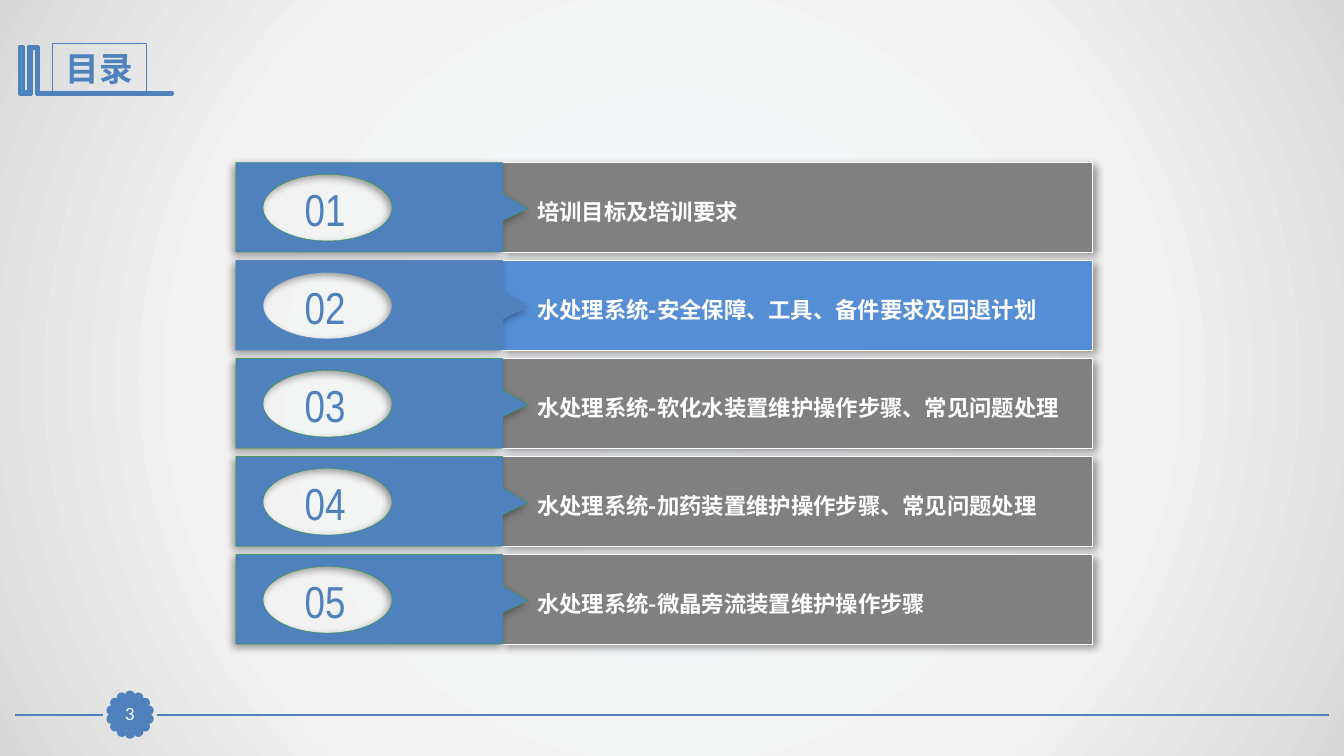
from math import cos, pi, sin

from lxml.etree import SubElement
from pptx import Presentation
from pptx.dml.color import RGBColor
from pptx.enum.shapes import MSO_CONNECTOR, MSO_SHAPE
from pptx.enum.text import MSO_ANCHOR, PP_ALIGN
from pptx.oxml import parse_xml
from pptx.oxml.ns import nsdecls, qn
from pptx.util import Inches, Pt

HUES = {"blue": "4F81BD", "sky": "558ED5", "gray": "808080", "white": "FFFFFF",
        "green": "339933", "cyan": "28A9D6", "black": "000000",
        "pale": "F6F9FC", "mist": "F2F2F2", "edge": "D9D9D9"}
HAN = "Noto Sans CJK SC"
FORMS = {
    "title": {"name": "Arial Narrow", "size": Pt(24), "bold": True},
    "page": {"name": "Lato", "size": Pt(12), "bold": False},
    "count": {"name": "Arial Narrow", "size": Pt(32), "bold": False},
    "topic": {"name": HAN, "size": Pt(16), "bold": True},
    "item": {"name": "Lato", "size": Pt(16), "bold": True},
}
ITEMS = [
    ("", "培训目标及培训要求", "gray", "green"),
    ("水处理系统-", "安全保障、工具、备件要求及回退计划", "sky", "blue"),
    ("水处理系统-软化水装置", "维护操作步骤、常见问题处理", "gray", "green"),
    ("水处理系统-加药装置", "维护操作步骤、常见问题处理", "gray", "green"),
    ("水处理系统-微晶旁流装置", "维护操作步骤", "gray", "green"),
]
BOOK = [(0.18, 0), (0.19, 0), (0.19, 0.46), (1.52, 0.46), (1.52, 0.48),
        (0.17, 0.48), (0.17, 0.02), (0.12, 0.02), (0.12, 0.48), (0, 0.48),
        (0, 0), (0.04, 0), (0.04, 0.45), (0.09, 0.45), (0.09, 0)]


def tint(hue):
    return RGBColor.from_string(HUES[hue])


def paint(shape, fill, line, width):
    shape.shadow.inherit = False
    if fill:
        shape.fill.solid()
        shape.fill.fore_color.rgb = tint(fill)
    else:
        shape.fill.background()
    shape.line.color.rgb = tint(line)
    shape.line.width = Pt(width)
    return shape


def block(host, kind, box, fill, line, width):
    shape = host.shapes.add_shape(kind, *map(Inches, box))
    return paint(shape, fill, line, width)


def trace(host, left, top, spots):
    dots = [(Inches(left + x), Inches(top + y)) for x, y in spots]
    pen = host.shapes.build_freeform(*dots[0])
    pen.add_line_segments(dots[1:], close=True)
    return pen.convert_to_shape()


def pierce(shape, x, y, wide, high):
    route = shape.element.find(".//" + qn("a:path"))

    def mark(tag, *spots):
        node = SubElement(route, qn(tag))
        for across, down in spots:
            SubElement(node, qn("a:pt"), x=str(Inches(x + across * wide)),
                       y=str(Inches(y + down * high)))

    bend = 0.55
    mark("a:moveTo", (0, -1))
    across, down = 0, -1
    for _ in range(4):
        end = (down, -across)
        mark("a:cubicBezTo", (across + bend * end[0], down + bend * end[1]),
             (end[0] + bend * across, end[1] + bend * down), end)
        across, down = end
    mark("a:close")


def shade(shape, angle):
    old = shape.element.spPr.find(qn("a:effectLst"))
    new = parse_xml(
        f'<a:effectLst {nsdecls("a")}><a:outerShdw blurRad="{Pt(6)}" dist="{Pt(3)}" '
        f'dir="{angle * 60000}" algn="ctr" rotWithShape="0"><a:srgbClr val="{HUES["black"]}">'
        '<a:alpha val="40000"/></a:srgbClr></a:outerShdw></a:effectLst>')
    old.getparent().replace(old, new)


def write(shape, runs, hue, align=PP_ALIGN.CENTER, anchor=MSO_ANCHOR.MIDDLE, inset=None):
    frame = shape.text_frame
    frame.word_wrap = True
    frame.vertical_anchor = anchor
    if inset is not None:
        for side in ("left", "right", "top", "bottom"):
            setattr(frame, f"margin_{side}", Inches(inset))
    para = frame.paragraphs[0]
    para.alignment = align
    for text, form in runs:
        run = para.add_run()
        run.text = text
        for name, value in FORMS[form].items():
            setattr(run.font, name, value)
        run.font.color.rgb = tint(hue)
        run._r.get_or_add_rPr().append(parse_xml(f'<a:ea {nsdecls("a")} typeface="{HAN}"/>'))


def rule(host, left, right, y, hue, width):
    line = host.shapes.add_connector(
        MSO_CONNECTOR.STRAIGHT, Inches(left), Inches(y), Inches(right), Inches(y))
    line.line.color.rgb = tint(hue)
    line.line.width = Pt(width)
    line.element.spPr.append(parse_xml(f'<a:effectLst {nsdecls("a")}/>'))


def backdrop(slide):
    stops = "".join(
        f'<a:gs pos="{spot * 1000}"><a:srgbClr val="{HUES[hue]}"/></a:gs>'
        for spot, hue in ((0, "pale"), (63, "mist"), (100, "edge")))
    slide.element.cSld.insert(0, parse_xml(
        f'<p:bg {nsdecls("p", "a")}><p:bgPr><a:gradFill rotWithShape="1"><a:gsLst>{stops}</a:gsLst>'
        '<a:path path="circle"><a:fillToRect l="50000" t="50000" r="50000" b="50000"/></a:path>'
        '</a:gradFill><a:effectLst/></p:bgPr></p:bg>'))


def header(slide, left, top):
    paint(trace(slide, left, top, BOOK), "cyan", "blue", 2)
    label = block(slide, MSO_SHAPE.RECTANGLE, (left + 0.33, top - 0.03, 0.93, 0.5),
                  None, "blue", 0.75)
    write(label, [("目录", "title")], "blue")


def footer(slide, mid, y):
    rule(slide, mid + 0.27, 13.18, y, "blue", 1.25)
    rule(slide, 0.15, mid - 0.27, y, "blue", 1.25)
    ring = slide.shapes.add_group_shape()
    count, reach, dot = 14, 0.19, 0.07
    for step in range(count):
        turn = 2 * pi * step / count
        spot = (mid + reach * sin(turn) - dot / 2, y - reach * cos(turn) - dot / 2)
        petal = block(ring, MSO_SHAPE.OVAL, (*spot, dot, dot), "blue", "blue", 2)
        petal.rotation = 360 * step / count


def badge(slide, mid, y):
    page = block(slide, MSO_SHAPE.RECTANGLE, (mid - 0.16, y - 0.16, 0.32, 0.31),
                 "blue", "blue", 0.75)
    write(page, [("3", "page")], "white", inset=0)


def entry(slide, left, top, high, index, item):
    topic, text, fill, edge = item
    row = slide.shapes.add_group_shape()
    bar = block(row, MSO_SHAPE.RECTANGLE, (left + 2.63, top, 5.87, high),
                fill, "white", 0.25)
    shade(bar, 45)
    rim = [(0, 0), (2.65, 0), (2.65, 0.31), (2.9, 0.46), (2.65, 0.58), (2.65, high), (0, high)]
    tab = paint(trace(row, left, top, rim), "blue", edge, 0.25)
    pierce(tab, 0.91, 0.45, 0.64, 0.33)
    shade(tab, 135)
    count = row.shapes.add_textbox(*map(Inches, (left + 0.38, top + 0.14, 1.01, 0.64)))
    write(count, [(f"{index:02}", "count")], "blue")
    label = row.shapes.add_textbox(*map(Inches, (left + 2.89, top + 0.31, 5.61, 0.37)))
    runs = [(part, form) for part, form in ((topic, "topic"), (text, "item")) if part]
    write(label, runs, "white", PP_ALIGN.LEFT, MSO_ANCHOR.TOP)


def agenda(slide, left, top, tall):
    high = 0.89
    pitch = (tall - high) / (len(ITEMS) - 1)
    rule(slide, left + 2.99, left + 5.03, top + high, "white", 1.5)
    for step, item in enumerate(ITEMS):
        entry(slide, left, top + step * pitch, high, step + 1, item)


def main():
    deck = Presentation()
    deck.slide_width, deck.slide_height = Inches(40 / 3), Inches(7.5)
    slide = deck.slides.add_slide(deck.slide_layouts[6])
    backdrop(slide)
    footer(slide, 1.29, 7.09)
    header(slide, 0.19, 0.46)
    badge(slide, 1.29, 7.09)
    agenda(slide, 2.34, 1.61, 4.78)
    deck.save("out.pptx")


if __name__ == "__main__":
    main()
